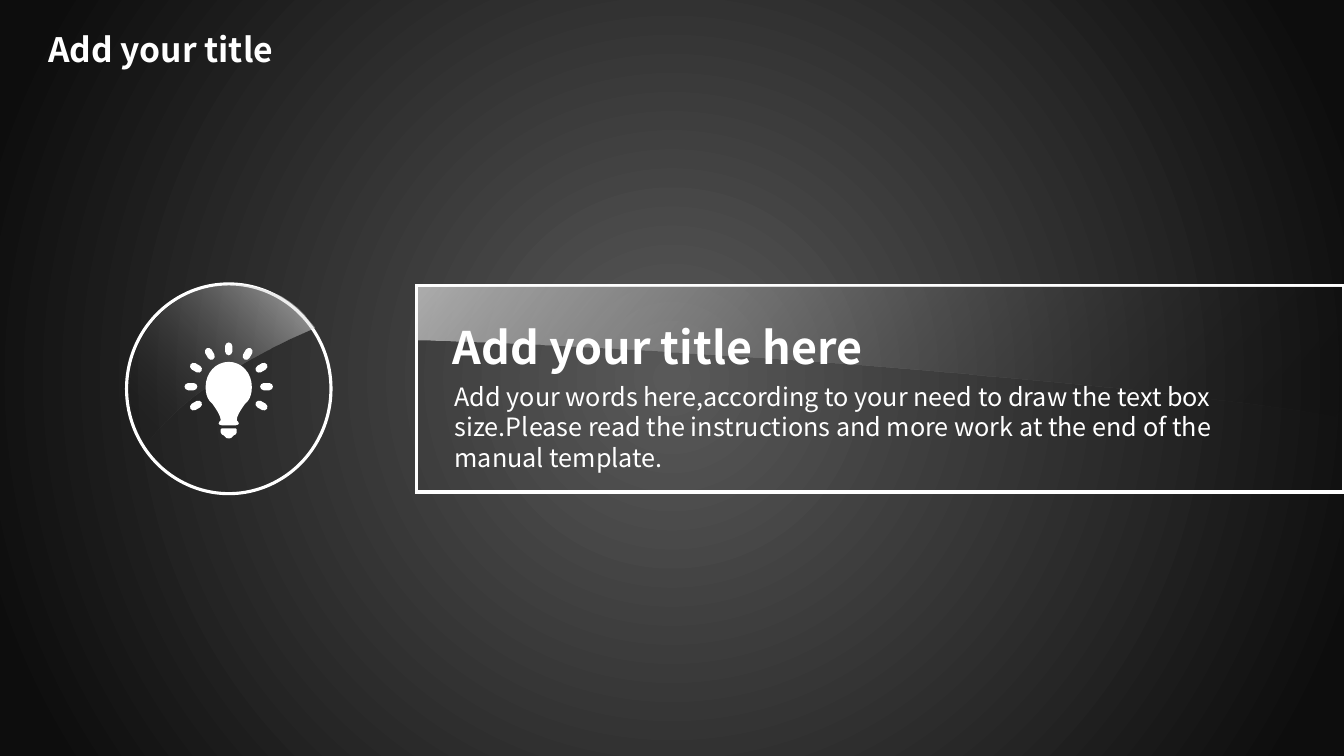
from math import cos, radians, sin

from lxml.etree import SubElement
from pptx import Presentation
from pptx.dml.color import RGBColor
from pptx.enum.shapes import MSO_SHAPE as SHAPE
from pptx.enum.text import MSO_ANCHOR as ANCHOR, MSO_AUTO_SIZE as AUTO, PP_ALIGN as ALIGN
from pptx.oxml.ns import qn
from pptx.util import Pt

FONT = "Noto Sans CJK SC"
WHITE = "FFFFFF"
AXIS_X, BULB_Y = 163.4, 276.2

BADGE_GLOSS = [
    (165.6, 203), (185.8, 203, 203.8, 210.2, 216.7, 224.6), (224.6, 234), (205.2, 242.6),
    (164.2, 262.1, 132.5, 283, 109.4, 310.3), (103.7, 317.5), (101.5, 313.2),
    (95.8, 303.1, 92.2, 290.9, 92.2, 277.9), (92.2, 236.2, 125.3, 203, 165.6, 203),
]
PANEL_GLOSS = [
    (297.4, 204.5), (958.3, 204.5), (958.3, 298.8), (953.3, 297.4),
    (904.3, 287.3, 755.3, 270.7, 578.2, 257.8), (468.7, 249.8, 369.4, 244.8, 297.4, 242.6),
]
BULB_HALF = [
    (AXIS_X, 258.5), (154.1, 258.5, 146.9, 266.4, 146.9, 276.5),
    (146.9, 280.1, 147.6, 283.7, 149.8, 286.6),
    (149.8, 286.6, 151.2, 288, 151.9, 288.7),
    (155.5, 293.8, 157.7, 297.4, 157.7, 300.2),
    (157, 301, 156.2, 301.7, 156.2, 302.4),
    (156.2, 303.1, 157, 303.8, 158.4, 303.8), (AXIS_X, 303.8),
]
BASE_HALF = [
    (AXIS_X, 306), (158.4, 306), (158.4, 306, 157.7, 306, 157.7, 306.7), (157.7, 308.9),
    (157.7, 309.6, 158, 310, 158.4, 310.3), (159.8, 311), (161.3, 312.5),
    (161.3, 312.8, 162, 313.2, AXIS_X, 313.2),
]


def color(value):
    return RGBColor.from_string(value)


def mirrored(half):
    path = list(half)
    for seg, before in zip(half[:0:-1], half[-2::-1]):
        flat = seg[2:4] + seg[:2] + before[-2:] if len(seg) == 6 else before[-2:]
        path.append(tuple(v if i % 2 else 2 * AXIS_X - v for i, v in enumerate(flat)))
    return path


def ray(angle, distance=27, length=9.2, width=5.2):
    a, r = length / 2, width / 2
    b, k = a - r, 0.45 * r
    capsule = [
        (-b, -r), (b, -r), (a - k, -r, a, -k, a, 0), (a, k, a - k, r, b, r),
        (-b, r), (k - a, r, -a, k, -a, 0), (-a, -k, k - a, -r, -b, -r),
    ]
    c, s = cos(radians(angle)), sin(radians(angle))

    def place(u, v):
        return AXIS_X + (u + distance) * c + v * s, BULB_Y - (u + distance) * s + v * c

    return [sum((place(u, v) for u, v in zip(seg[::2], seg[1::2])), ()) for seg in capsule]


def add_outline(shapes, paths):
    builder = None
    for path in paths:
        ends = [(Pt(seg[-2]), Pt(seg[-1])) for seg in path]
        if builder is None:
            builder = shapes.build_freeform(*ends[0], scale=1.0)
        else:
            builder.move_to(*ends[0])
        builder.add_line_segments(ends[1:], close=True)
    sp = builder.convert_to_shape()
    sp.shadow.inherit = False
    sp.line.fill.background()
    bend_lines(sp, sum(paths, []))
    return sp


def bend_lines(sp, segments):
    geometry = next(sp._element.iter(qn("a:path")))
    steps = [el for el in geometry if el.tag != qn("a:close")]
    for step, seg in zip(steps, segments):
        if len(seg) == 6:
            curve = SubElement(geometry, qn("a:cubicBezTo"))
            for x, y in zip(seg[::2], seg[1::2]):
                SubElement(curve, qn("a:pt"), x=str(Pt(x) - sp.left), y=str(Pt(y) - sp.top))
            geometry.replace(step, curve)


def set_gradient(fill, first, last):
    fill.gradient()
    for stop, (position, value) in zip(fill.gradient_stops, (first, last)):
        stop.position = position
        stop.color.rgb = color(value)


def add_gloss(shapes, path, angle):
    sp = add_outline(shapes, [path])
    set_gradient(sp.fill, (0, "000000"), (1, WHITE))
    sp.fill.gradient_angle = angle
    stops = sp._element.spPr.iter(qn("a:srgbClr"))
    for clr, opacity in zip(list(stops), (0, 58)):
        SubElement(clr, qn("a:alpha")).set("val", str(opacity * 1000))


def add_frame(shapes, kind, x, y, w, h):
    sp = shapes.add_shape(kind, Pt(x), Pt(y), Pt(w), Pt(h))
    sp.shadow.inherit = False
    sp.fill.background()
    sp.line.color.rgb = color(WHITE)
    sp.line.width = Pt(2.25)
    SubElement(sp._element.spPr.find(qn("a:ln")), qn("a:miter"), lim="800000")


def set_background(s):
    set_gradient(s.background.fill, (0, "595959"), (0.94, "0D0D0D"))
    grad = next(s._element.iter(qn("a:gradFill")))
    grad.remove(grad.find(qn("a:lin")))
    circle = SubElement(grad, qn("a:path"), path="circle")
    SubElement(circle, qn("a:fillToRect"), l="50000", t="50000", r="50000", b="50000")


def write(sp, text, x, y, w, h, size=18, bold=False):
    sp.left, sp.top, sp.width, sp.height = Pt(x), Pt(y), Pt(w), Pt(h)
    tf = sp.text_frame
    tf.word_wrap = True
    tf.auto_size = AUTO.SHAPE_TO_FIT_TEXT
    tf.vertical_anchor = ANCHOR.TOP
    p = tf.paragraphs[0]
    p.alignment = ALIGN.LEFT
    r = p.add_run()
    r.text = text
    r.font.name = FONT
    r.font.size = Pt(size)
    r.font.bold = bold
    r.font.color.rgb = color(WHITE)


def add_text(s, text, *box, **style):
    write(s.shapes.add_textbox(0, 0, 0, 0), text, *box, **style)


def add_badge(s):
    shapes = s.shapes.add_group_shape().shapes
    add_frame(shapes, SHAPE.OVAL, 90.4, 202.8, 146, 149.8)
    add_gloss(shapes, BADGE_GLOSS, 45)
    rays = [ray(angle) for angle in range(-30, 211, 30)]
    bulb = add_outline(shapes, [mirrored(BASE_HALF), mirrored(BULB_HALF)] + rays)
    bulb.fill.solid()
    bulb.fill.fore_color.rgb = color(WHITE)


def add_panel(s):
    shapes = s.shapes.add_group_shape().shapes
    add_frame(shapes, SHAPE.RECTANGLE, 297.4, 204.1, 662.4, 147.4)
    add_gloss(shapes, PANEL_GLOSS, 140)


def main():
    prs = Presentation()
    prs.slide_width, prs.slide_height = Pt(960), Pt(540)
    s = prs.slides.add_slide(prs.slide_layouts[5])
    set_background(s)
    write(s.shapes.title, "Add your title", 27.4, 17.3, 220.3, 36, size=24, bold=True)
    add_badge(s)
    add_panel(s)
    add_text(s, "Add your title here", 316.2, 225, 366.5, 46, size=32, bold=True)
    add_text(s, "Add your words here,according to your need to draw the text box size."
             "Please read the instructions and more work at the end of the manual template.",
             317.6, 268.9, 618.5, 72.7)
    prs.save("out.pptx")


if __name__ == "__main__":
    main()
